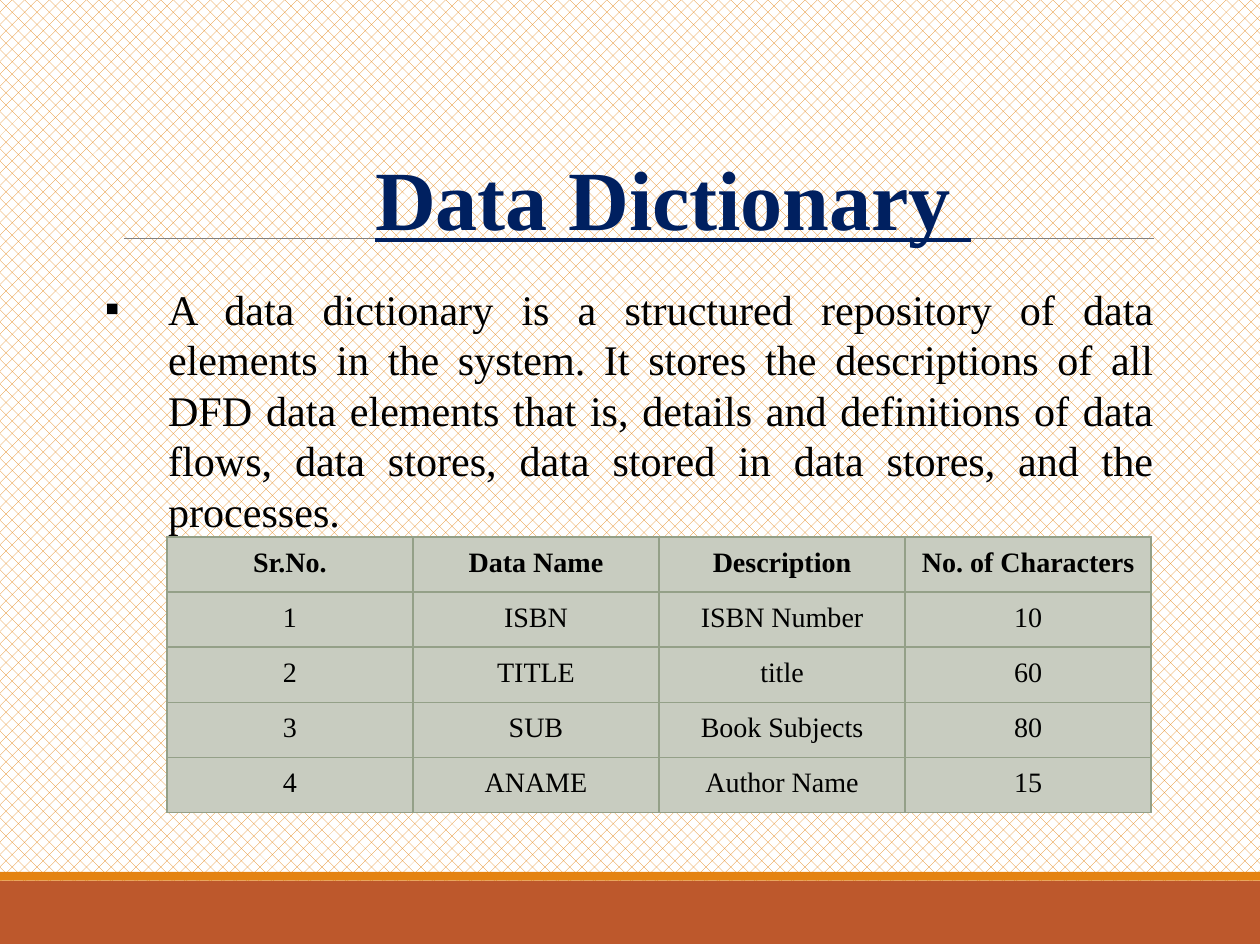
from lxml import etree
from pptx import Presentation
from pptx.dml.color import RGBColor
from pptx.enum.dml import MSO_PATTERN
from pptx.enum.shapes import MSO_CONNECTOR, MSO_SHAPE
from pptx.enum.text import MSO_ANCHOR, PP_ALIGN
from pptx.oxml.ns import qn
from pptx.util import Inches, Pt

FONT = "Times New Roman"
ORANGE = RGBColor(0xE4, 0x83, 0x12)
RUST = RGBColor(0xBD, 0x58, 0x2C)
WHITE = RGBColor(0xFF, 0xFF, 0xFF)
BLACK = RGBColor(0, 0, 0)
NAVY = RGBColor(0x00, 0x20, 0x60)
GRAY = RGBColor(0x80, 0x80, 0x80)
SAGE = RGBColor(0xC8, 0xCC, 0xC0)
BORDER = RGBColor(0x94, 0xA0, 0x88)

SLIDE_WIDTH, SLIDE_HEIGHT = 9.97, 7.47
DEFINITION = (
    "A data dictionary is a structured repository of data elements in the system. "
    "It stores the descriptions of all DFD data elements that is, details and "
    "definitions of data flows, data stores, data stored in data stores, and the "
    "processes."
)
ENTRIES = [
    ("Sr.No.", "Data Name", "Description", "No. of Characters"),
    ("1", "ISBN", "ISBN Number", "10"),
    ("2", "TITLE", "title", "60"),
    ("3", "SUB", "Book Subjects", "80"),
    ("4", "ANAME", "Author Name", "15"),
]


def set_background(slide):
    fill = slide.background.fill
    fill.patterned()
    fill.pattern = MSO_PATTERN.PERCENT_30
    fill.fore_color.rgb = ORANGE
    fill.back_color.rgb = WHITE


def add_band(slide, top, height, color):
    """Add a full-width footer band."""
    band = slide.shapes.add_shape(
        MSO_SHAPE.RECTANGLE, 0, Inches(top), Inches(SLIDE_WIDTH), Inches(height))
    band.shadow.inherit = False
    band.fill.solid()
    band.fill.fore_color.rgb = color
    band.line.fill.background()


def add_rule(slide, left, right, y):
    rule = slide.shapes.add_connector(
        MSO_CONNECTOR.STRAIGHT, Inches(left), Inches(y), Inches(right), Inches(y))
    rule.line.color.rgb = GRAY
    rule.line.width = Pt(0.5)
    etree.SubElement(rule._element.spPr, qn("a:effectLst"))


def add_run(paragraph, text, size, color=BLACK, bold=False):
    run = paragraph.add_run()
    run.text = text
    run.font.name = FONT
    run.font.size = Pt(size)
    run.font.bold = bold
    run.font.color.rgb = color
    return run


def add_text_frame(slide, left, top, width, height, anchor):
    """Add a wrapping text box without margins and return its frame."""
    box = slide.shapes.add_textbox(
        Inches(left), Inches(top), Inches(width), Inches(height))
    frame = box.text_frame
    frame.word_wrap = True
    frame.vertical_anchor = anchor
    frame.margin_left = frame.margin_right = 0
    frame.margin_top = frame.margin_bottom = 0
    return frame


def add_title(slide):
    frame = add_text_frame(slide, 2.97, 0.9, 5.76, 1.06, MSO_ANCHOR.BOTTOM)
    title = add_run(frame.paragraphs[0], "Data Dictionary ", 48, NAVY, bold=True)
    title.font.underline = True
    title.font._element.set("spc", "-10")


def add_definition(slide):
    frame = add_text_frame(slide, 0.82, 2.24, 8.31, 2.02, MSO_ANCHOR.TOP)
    definition = frame.paragraphs[0]
    definition.alignment = PP_ALIGN.JUSTIFY
    definition.line_spacing = 1.0
    properties = definition._p.get_or_add_pPr()
    properties.set("marL", str(Inches(0.51)))
    properties.set("indent", str(Inches(-0.5)))
    etree.SubElement(properties, qn("a:buFont"), typeface=FONT)
    etree.SubElement(properties, qn("a:buChar"), char="▪")
    add_run(definition, DEFINITION, 24)


def add_cell_borders(cell):
    properties = cell._tc.get_or_add_tcPr()
    for position, side in enumerate(("lnL", "lnR", "lnT", "lnB")):
        line = etree.Element(qn(f"a:{side}"), w=str(Pt(1)))
        fill = etree.SubElement(line, qn("a:solidFill"))
        etree.SubElement(fill, qn("a:srgbClr"), val=str(BORDER))
        properties.insert(position, line)


def fill_cell(cell, text, bold):
    cell.fill.solid()
    cell.fill.fore_color.rgb = SAGE
    cell.margin_left = cell.margin_right = Inches(0.08)
    cell.margin_top = cell.margin_bottom = Inches(0.08)
    cell.vertical_anchor = MSO_ANCHOR.TOP
    paragraph = cell.text_frame.paragraphs[0]
    paragraph.alignment = PP_ALIGN.CENTER
    add_run(paragraph, text, 16, bold=bold)
    add_cell_borders(cell)


def add_dictionary_table(slide):
    table = slide.shapes.add_table(
        len(ENTRIES), len(ENTRIES[0]),
        Inches(1.32), Inches(4.25), Inches(7.79), Inches(2.18)).table
    for row, entry in enumerate(ENTRIES):
        for column, text in enumerate(entry):
            fill_cell(table.cell(row, column), text, bold=row == 0)


def main():
    presentation = Presentation()
    presentation.slide_width = Inches(SLIDE_WIDTH)
    presentation.slide_height = Inches(SLIDE_HEIGHT)
    slide = presentation.slides.add_slide(presentation.slide_layouts[6])

    set_background(slide)
    add_band(slide, 6.97, 0.5, RUST)
    add_band(slide, 6.9, 0.07, ORANGE)
    add_rule(slide, 0.98, 9.13, 1.89)
    add_title(slide)
    add_definition(slide)
    add_dictionary_table(slide)

    presentation.save("out.pptx")


if __name__ == "__main__":
    main()
